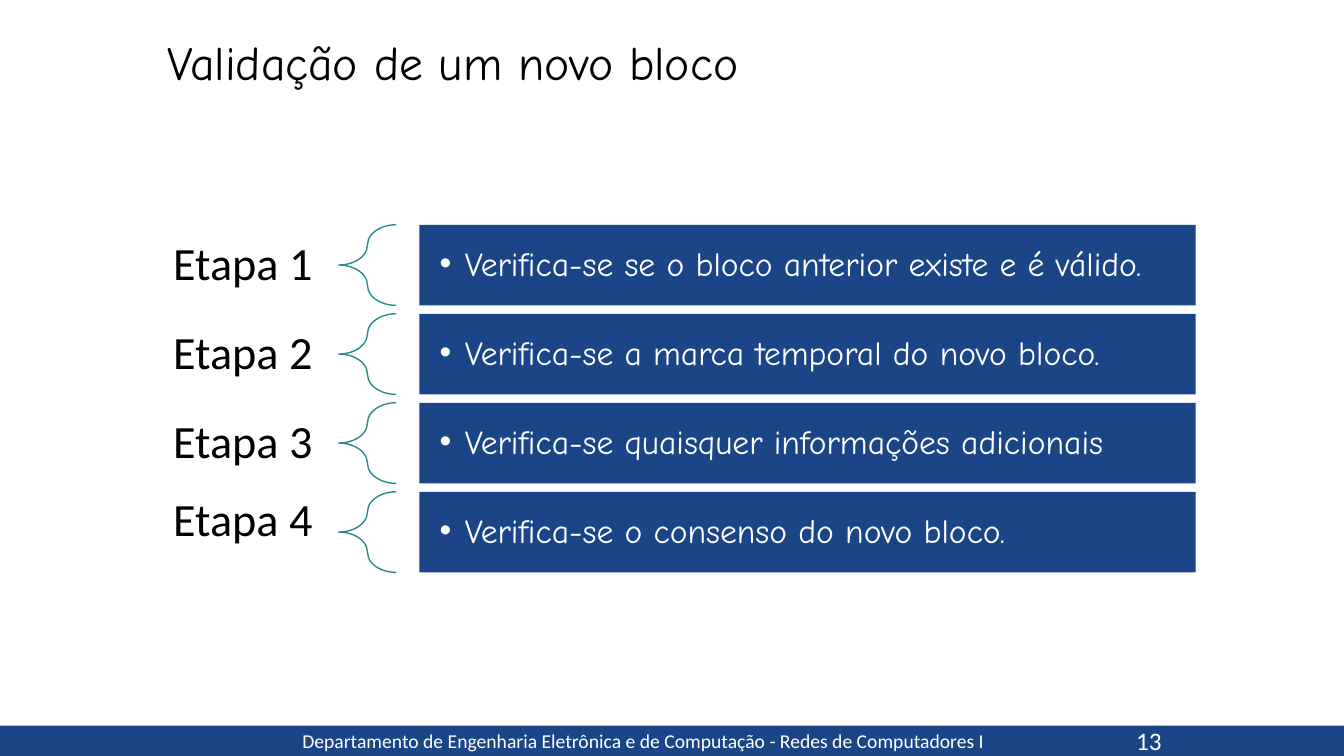
from dataclasses import dataclass

from lxml import etree
from pptx import Presentation
from pptx.dml.color import RGBColor
from pptx.enum.shapes import MSO_SHAPE
from pptx.enum.text import MSO_ANCHOR, MSO_AUTO_SIZE, PP_ALIGN
from pptx.oxml.ns import qn
from pptx.presentation import Presentation as PresentationType
from pptx.shapes.base import BaseShape
from pptx.slide import Slide
from pptx.text.text import TextFrame
from pptx.util import Inches, Length, Pt

RECTANGLE = MSO_SHAPE.RECTANGLE
LEFT_BRACE = MSO_SHAPE.LEFT_BRACE
MIDDLE = MSO_ANCHOR.MIDDLE
NO_AUTO_SIZE = MSO_AUTO_SIZE.NONE
LEFT = PP_ALIGN.LEFT
RIGHT = PP_ALIGN.RIGHT

COLUMNS, ROWS = 133.3, 75
CELL = 0.1
COMPARISON_LAYOUT = 4
FIRST_STAGE_ROW = 22.3
STAGE_PITCH = 8.83
BLUE, TEAL, WHITE, BLACK = "1C4587", "2A898D", "FFFFFF", "000000"


@dataclass(frozen=True)
class Box:
    column: float
    row: float
    columns: float
    rows: float


@dataclass(frozen=True)
class Margins:
    left: float
    top: float
    right: float
    bottom: float


@dataclass(frozen=True)
class TextStyle:
    font: str
    size: float
    color: str
    alignment: PP_ALIGN = LEFT
    line_spacing: float = 1.0


@dataclass(frozen=True)
class Stage:
    label: str
    check: str
    label_bottom: float = 0.9


TITLE_STYLE = TextStyle("Comic Neue", 34, BLACK, line_spacing=0.9)
LABEL_STYLE = TextStyle("Calibri", 33, BLACK, RIGHT, 0.9)
CHECK_STYLE = TextStyle("Comic Neue", 24, WHITE, line_spacing=0.9)
FOOTER_STYLE = TextStyle("Calibri", 14, WHITE)
NUMBER_STYLE = TextStyle("Calibri", 18, WHITE)

STAGES = (
    Stage("Etapa 1", "Verifica-se se o bloco anterior existe e é válido."),
    Stage("Etapa 2", "Verifica-se a marca temporal do novo bloco."),
    Stage("Etapa 3", "Verifica-se quaisquer informações adicionais"),
    Stage("Etapa 4", "Verifica-se o consenso do novo bloco.", 3.1),
)


def cells(count: float) -> Length:
    return Inches(count * CELL)


def color(hex_value: str) -> RGBColor:
    return RGBColor.from_string(hex_value)


def corners(box: Box) -> tuple[Length, Length, Length, Length]:
    return cells(box.column), cells(box.row), cells(box.columns), cells(box.rows)


def place(shape: BaseShape, box: Box) -> None:
    shape.left, shape.top, shape.width, shape.height = corners(box)


def write(frame: TextFrame, text: str, style: TextStyle, margins: Margins) -> None:
    frame.word_wrap = True
    frame.auto_size = NO_AUTO_SIZE
    frame.vertical_anchor = MIDDLE
    frame.margin_left = cells(margins.left)
    frame.margin_top = cells(margins.top)
    frame.margin_right = cells(margins.right)
    frame.margin_bottom = cells(margins.bottom)
    paragraph = frame.paragraphs[0]
    paragraph.alignment = style.alignment
    paragraph.line_spacing = style.line_spacing
    run = paragraph.add_run()
    run.text = text
    run.font.name = style.font
    run.font.size = Pt(style.size)
    run.font.bold = False
    run.font.color.rgb = color(style.color)


def add_bullet(frame: TextFrame) -> None:
    paragraph = frame.paragraphs[0]
    paragraph.space_before = Pt(5)
    properties = paragraph._p.get_or_add_pPr()
    properties.set("marL", str(cells(3.1)))
    properties.set("indent", str(cells(-2.5)))
    bullet_color = etree.SubElement(properties, qn("a:buClr"))
    etree.SubElement(bullet_color, qn("a:srgbClr")).set("val", WHITE)
    etree.SubElement(properties, qn("a:buFont")).set("typeface", "Arial")
    etree.SubElement(properties, qn("a:buChar")).set("char", "•")


def add_text(slide: Slide, box: Box, text: str, style: TextStyle, margins: Margins) -> None:
    text_box = slide.shapes.add_textbox(*corners(box))
    write(text_box.text_frame, text, style, margins)


def add_footer(slide: Slide) -> None:
    band = slide.shapes.add_shape(RECTANGLE, *corners(Box(0, 72, COLUMNS, 3)))
    band.shadow.inherit = False
    band.fill.solid()
    band.fill.fore_color.rgb = color(BLUE)
    band.line.fill.background()
    add_text(
        slide,
        Box(29, 72.2, 80, 2.6),
        "Departamento de Engenharia Eletrônica e de Computação - Redes de Computadores I",
        FOOTER_STYLE,
        Margins(1, 1, 1, 1),
    )
    add_text(slide, Box(111.7, 72.2, 7, 2.6), "13", NUMBER_STYLE, Margins(1, 0.5, 1, 0.5))


def add_stage(slide: Slide, bar: BaseShape, stage: Stage, row: float) -> None:
    add_text(
        slide,
        Box(5.3, row + 0.5, 28.3, 7),
        stage.label,
        LABEL_STYLE,
        Margins(2.6, 0.9, 2.6, stage.label_bottom),
    )
    brace = slide.shapes.add_shape(LEFT_BRACE, *corners(Box(33.6, row, 5.7, 8)))
    brace.shadow.inherit = False
    brace.adjustments[0] = 0.35
    brace.adjustments[1] = 0.5
    brace.fill.background()
    brace.line.color.rgb = color(TEAL)
    brace.line.width = Pt(1)
    place(bar, Box(41.6, row, 77, 8))
    bar.fill.solid()
    bar.fill.fore_color.rgb = color(BLUE)
    write(bar.text_frame, stage.check, CHECK_STYLE, Margins(1.4, 1.4, 1.4, 1.4))
    add_bullet(bar.text_frame)


def build() -> PresentationType:
    presentation = Presentation()
    presentation.slide_width = cells(COLUMNS)
    presentation.slide_height = cells(ROWS)
    slide = presentation.slides.add_slide(presentation.slide_layouts[COMPARISON_LAYOUT])
    title, *bars = slide.placeholders
    place(title, Box(0, 0, 95.8, 12.9))
    write(title.text_frame, "Validação de um novo bloco", TITLE_STYLE, Margins(16.6, 0.5, 1, 0.5))
    for index, (bar, stage) in enumerate(zip(bars, STAGES)):
        add_stage(slide, bar, stage, FIRST_STAGE_ROW + index * STAGE_PITCH)
    add_footer(slide)
    return presentation


if __name__ == "__main__":
    build().save("out.pptx")
